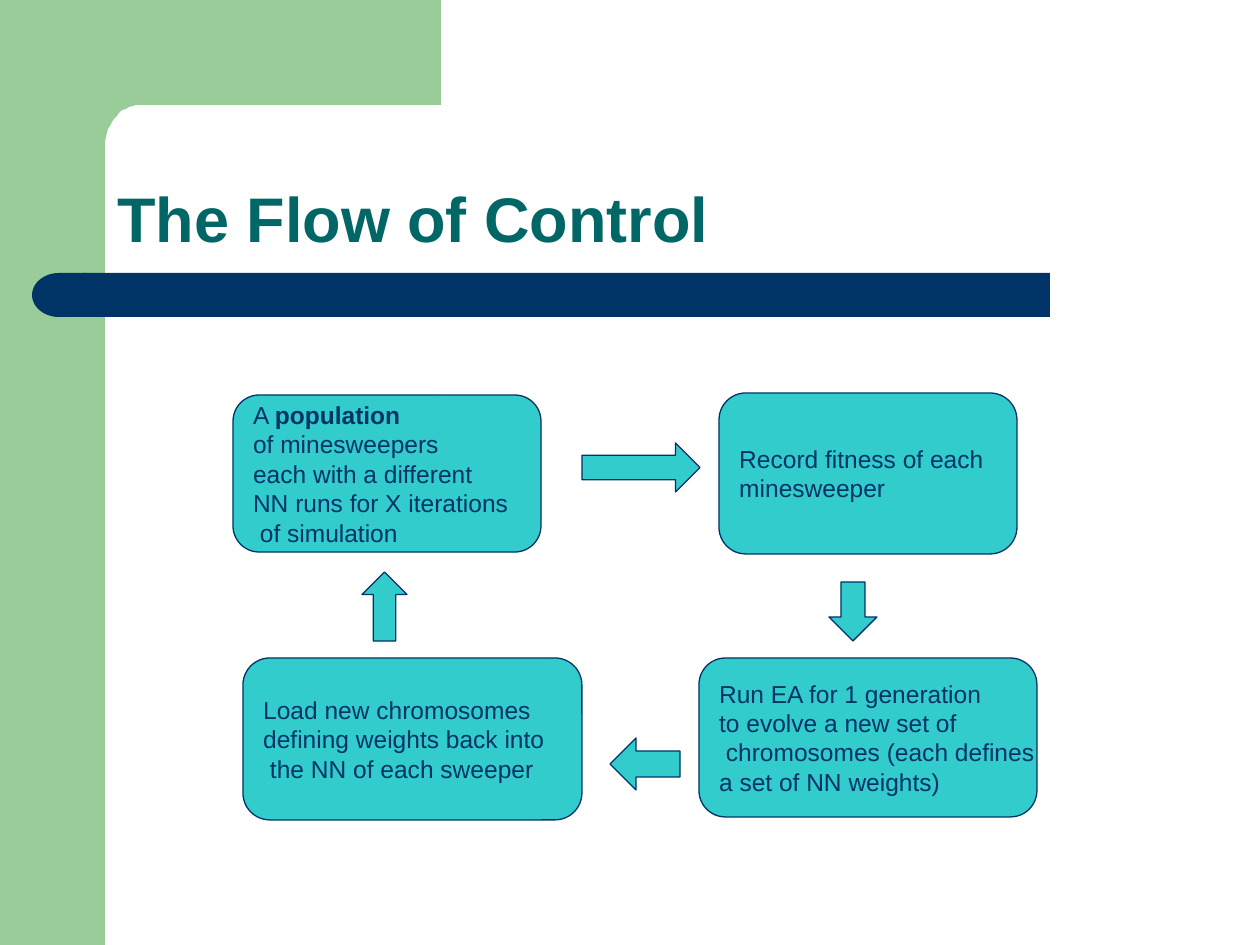
from math import cos, radians, sin

from pptx import Presentation
from pptx.dml.color import RGBColor as RGB
from pptx.enum.shapes import MSO_SHAPE as SHAPE
from pptx.enum.text import MSO_ANCHOR as ANCHOR, PP_ALIGN as ALIGN
from pptx.util import Emu, Pt
from dataclasses import dataclass


@dataclass(frozen=True)
class Theme:
    font: str = "Arial"
    green: RGB = RGB(0x99, 0xCC, 0x99)
    navy: RGB = RGB(0x00, 0x33, 0x66)
    title: RGB = RGB(0x00, 0x66, 0x66)
    teal: RGB = RGB(0x33, 0xCC, 0xCC)
    title_size: Pt = Pt(36)
    body_size: Pt = Pt(14)
    line: Pt = Pt(0.75)


T = Theme()
PX = 914400 // 126


def px(*values):
    return [Emu(v * PX) for v in values]


def add_shape(kind, box, fill, line=None):
    sp = s.shapes.add_shape(kind, *px(*box))
    sp.shadow.inherit = False
    sp.fill.solid()
    sp.fill.fore_color.rgb = fill
    if line is None:
        sp.line.fill.background()
    else:
        sp.line.color.rgb = line
        sp.line.width = T.line
    return sp


prs = Presentation()
prs.slide_width, prs.slide_height = px(1260, 945)
s = prs.slides.add_slide(prs.slide_layouts[6])

# Green side band and top corner with a rounded inner edge
add_shape(SHAPE.RECTANGLE, (0, 0, 105, 945), T.green)
arc = [(round(140 - 35 * sin(radians(a))), round(146 - 41 * cos(radians(a))))
       for a in range(0, 91, 6)]
fb = s.shapes.build_freeform(441, 0, scale=PX)
fb.add_line_segments([(441, 105), *arc, (105, 161), (63, 161), (63, 0)])
corner = fb.convert_to_shape()
corner.shadow.inherit = False
corner.fill.solid()
corner.fill.fore_color.rgb = T.green
corner.line.fill.background()

# Navy bar with a rounded left end
add_shape(SHAPE.RECTANGLE, (84, 273, 966, 44), T.navy)
add_shape(SHAPE.FLOWCHART_DELAY, (32, 273, 54, 44), T.navy).rotation = 180

# Title
tf = s.shapes.add_textbox(*px(105, 105, 1092, 157)).text_frame
tf.word_wrap = True
tf.vertical_anchor = ANCHOR.BOTTOM
p = tf.paragraphs[0]
p.text = "The Flow of Control"
p.line_spacing = 0.9
p.font.name, p.font.size, p.font.bold = T.font, T.title_size, True
p.font.color.rgb = T.title

# Steps of the cycle: box, then lines of (text, bold) runs
steps = [
    ((233, 395, 308, 157), [
        [("A ", False), ("population", True)],
        "of minesweepers",
        "each with a different",
        "NN runs for X iterations",
        " of simulation",
    ]),
    ((719, 393, 298, 161), [
        "Record fitness of each",
        "minesweeper",
    ]),
    ((699, 658, 338, 159), [
        "Run EA for 1 generation",
        "to evolve a new set of",
        " chromosomes (each defines",
        "a set of NN weights)",
    ]),
    ((243, 658, 339, 162), [
        "Load new chromosomes",
        "defining weights back into",
        " the NN of each sweeper",
    ]),
]
for box, lines in steps:
    tf = add_shape(SHAPE.ROUNDED_RECTANGLE, box, T.teal, T.navy).text_frame
    tf.word_wrap = False
    tf.vertical_anchor = ANCHOR.MIDDLE
    for i, line in enumerate(lines):
        p = tf.add_paragraph() if i else tf.paragraphs[0]
        p.alignment = ALIGN.LEFT
        p.font.name, p.font.size = T.font, T.body_size
        p.font.color.rgb = T.navy
        runs = [(line, False)] if isinstance(line, str) else line
        for text, bold in runs:
            r = p.add_run()
            r.text = text
            r.font.bold = bold

# Arrows between the steps
arrows = [
    (SHAPE.RIGHT_ARROW, (582, 443, 118, 49)),
    (SHAPE.DOWN_ARROW, (829, 582, 48, 59)),
    (SHAPE.LEFT_ARROW, (610, 738, 70, 52)),
    (SHAPE.UP_ARROW, (362, 572, 45, 69)),
]
for kind, box in arrows:
    add_shape(kind, box, T.teal, T.navy)

prs.save("out.pptx")
